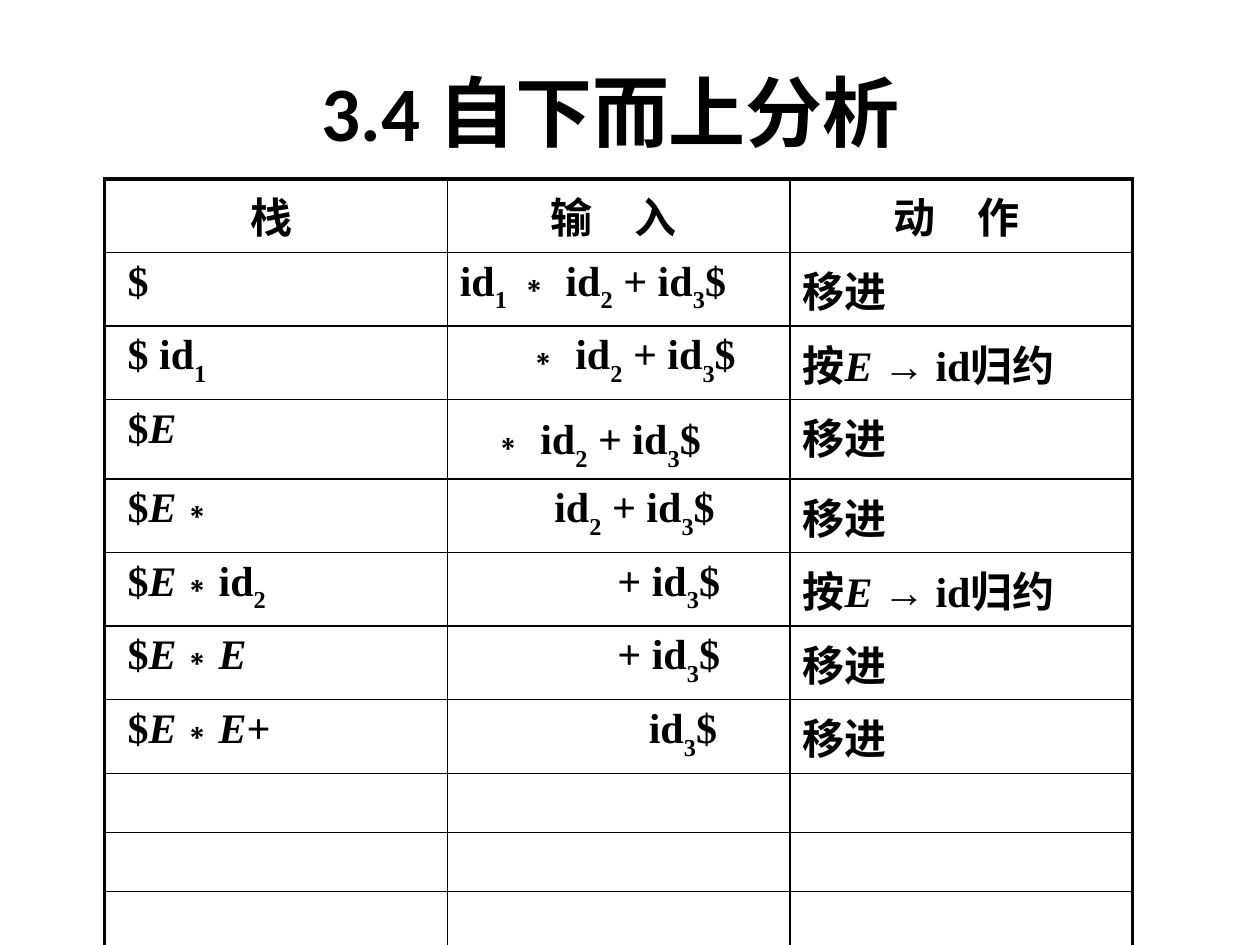
from dataclasses import dataclass

from lxml.etree import SubElement
from pptx import Presentation
from pptx.dml.color import RGBColor
from pptx.enum.text import MSO_ANCHOR, PP_ALIGN
from pptx.oxml.ns import qn
from pptx.util import Inches, Pt

TIMES = "Times New Roman"
CHINESE = "Noto Sans CJK SC"
BLACK = "000000"
THICK, THIN = 2.25, 1
SPACE_WIDTH = 1 / 12
COLUMN_WIDTH = 2.72
HEADER_HEIGHT = 0.58
EMPTY_HEIGHT = 0.47
EMPTY_ROWS = 4


@dataclass(frozen=True)
class Run:
    text: str
    font: str = TIMES
    italic: bool = False
    subscript: bool = False


@dataclass(frozen=True)
class Step:
    stack: list[Run]
    input: list[Run]
    action: list[Run]
    input_indent: int = 0
    height: float = 0.58
    input_top: float = 0.05


def sub(text: str) -> Run:
    return Run(text, subscript=True)


DOLLAR = Run("$")
STAR = Run("∗")
E = Run("E", italic=True)
ID_3 = [sub("3"), DOLLAR]
PLUS_ID_3 = [Run("+ id"), *ID_3]
ID_2_PLUS = [sub("2"), Run(" + id"), *ID_3]
STAR_ID_2_PLUS = [Run("∗ id"), *ID_2_PLUS]
SHIFT = [Run("移进", CHINESE)]
REDUCE = [Run("按", CHINESE), Run("E ", italic=True), Run("→ id"), Run("归约", CHINESE)]

HEADINGS = ["栈 ", "输　入 ", "动　作 "]
STEPS = [
    Step([DOLLAR], [Run("id"), sub("1 "), *STAR_ID_2_PLUS], SHIFT),
    Step([Run("$ id"), sub("1")], STAR_ID_2_PLUS, REDUCE, 6),
    Step([DOLLAR, E], STAR_ID_2_PLUS, SHIFT, 2.67, 0.63, 0.14),
    Step([DOLLAR, E, STAR], [Run("id"), *ID_2_PLUS], SHIFT, 9),
    Step([DOLLAR, E, Run("∗id"), sub("2")], PLUS_ID_3, REDUCE, 15),
    Step([DOLLAR, E, STAR, E], PLUS_ID_3, SHIFT, 15),
    Step([DOLLAR, E, STAR, E, Run("+")], [Run("id"), *ID_3], SHIFT, 18),
]


def color(value: str) -> RGBColor:
    return RGBColor.from_string(value)


def add_runs(paragraph, runs: list[Run], size: float) -> None:
    for item in runs:
        run = paragraph.add_run()
        run.text = item.text
        run.font.name = item.font
        run.font.size = Pt(size)
        run.font.bold = True
        run.font.italic = item.italic
        run.font.color.rgb = color(BLACK)
        properties = run._r.get_or_add_rPr()
        SubElement(properties, qn("a:ea"), typeface=item.font)
        if item.subscript:
            properties.set("baseline", "-30000")


def fill_cell(cell, runs: list[Run], indent: float = 0, alignment=PP_ALIGN.LEFT) -> None:
    paragraph = cell.text_frame.paragraphs[0]
    paragraph.alignment = alignment
    if indent:
        properties = paragraph._p.get_or_add_pPr()
        properties.set("marL", str(Inches(indent * SPACE_WIDTH)))
        properties.set("indent", "0")
    add_runs(paragraph, runs, 24)


def style_cell(cell, widths: dict[str, float]) -> None:
    properties = cell._tc.get_or_add_tcPr()
    for side, width in widths.items():
        line = SubElement(properties, qn(f"a:ln{side}"), w=str(Pt(width)))
        fill = SubElement(line, qn("a:solidFill"))
        SubElement(fill, qn("a:srgbClr"), val=BLACK)
    cell.fill.background()


def add_title(slide) -> None:
    title = slide.shapes.title
    title.left, title.top = Inches(0.67), Inches(0.25)
    title.width, title.height = Inches(8.5), Inches(1.25)
    title.text_frame.vertical_anchor = MSO_ANCHOR.MIDDLE
    paragraph = title.text_frame.paragraphs[0]
    paragraph.alignment = PP_ALIGN.CENTER
    add_runs(paragraph, [Run("3.4 ", "Calibri"), Run("自下而上分析 ", CHINESE)], 44)


def add_parse_table(slide) -> None:
    heights = [HEADER_HEIGHT, *(step.height for step in STEPS), *[EMPTY_HEIGHT] * EMPTY_ROWS]
    table = slide.shapes.add_table(
        len(heights), len(HEADINGS), Inches(0.83), Inches(1.42),
        Inches(COLUMN_WIDTH * len(HEADINGS)), Inches(sum(heights)),
    ).table
    table.first_row = False
    table.horz_banding = False
    last_row, last_column = len(heights) - 1, len(HEADINGS) - 1

    for column in table.columns:
        column.width = Inches(COLUMN_WIDTH)
    for row_index, height in enumerate(heights):
        table.rows[row_index].height = Inches(height)
        for column_index in range(len(HEADINGS)):
            style_cell(table.cell(row_index, column_index), {
                "L": THICK if column_index == 0 else THIN,
                "R": THICK if column_index == last_column else THIN,
                "T": THICK if row_index == 0 else THIN,
                "B": THICK if row_index == last_row else THIN,
            })

    for column_index, heading in enumerate(HEADINGS):
        fill_cell(table.cell(0, column_index), [Run(heading, CHINESE)], alignment=PP_ALIGN.CENTER)
    for row_index, step in enumerate(STEPS, start=1):
        fill_cell(table.cell(row_index, 0), step.stack, indent=1)
        input_cell = table.cell(row_index, 1)
        input_cell.margin_top = Inches(step.input_top)
        fill_cell(input_cell, step.input, step.input_indent)
        fill_cell(table.cell(row_index, 2), step.action)


def main() -> None:
    presentation = Presentation()
    presentation.slide_width = Inches(10)
    presentation.slide_height = Inches(7.5)
    slide = presentation.slides.add_slide(presentation.slide_layouts[5])
    add_title(slide)
    add_parse_table(slide)
    presentation.save("out.pptx")


if __name__ == "__main__":
    main()
